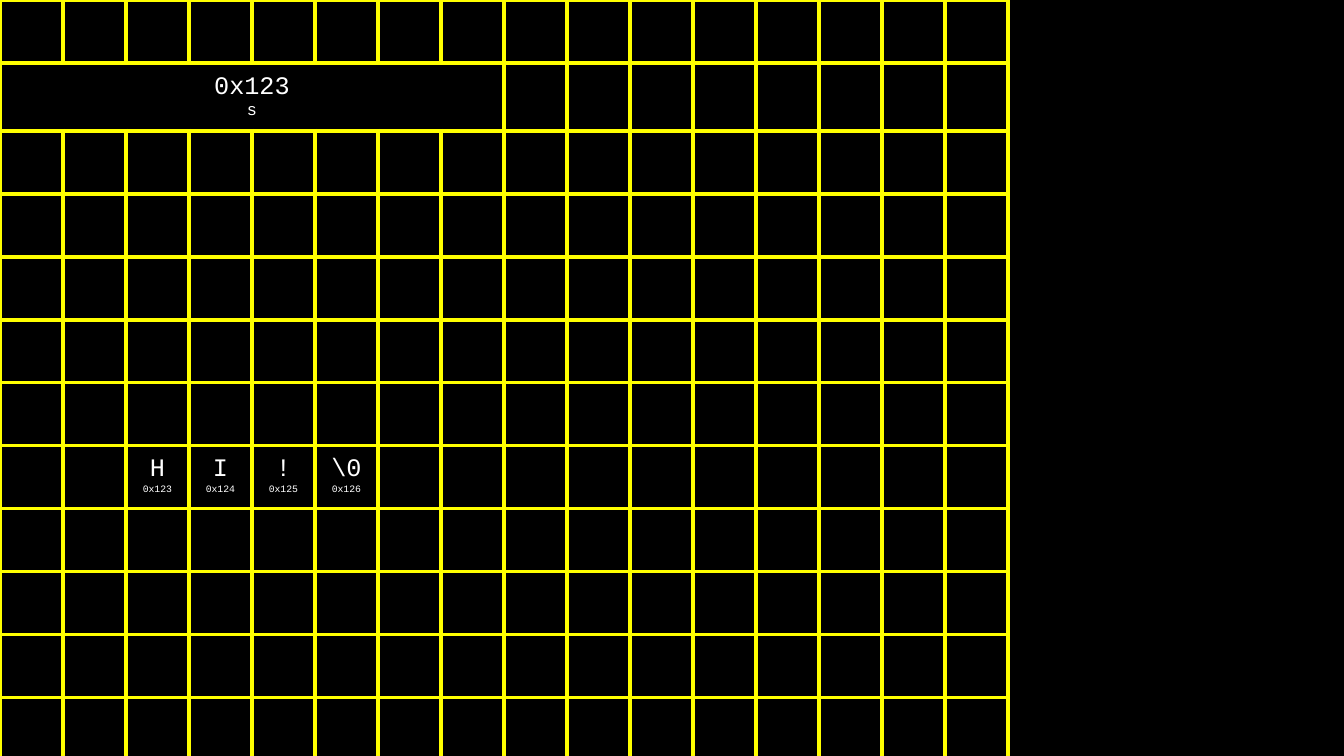
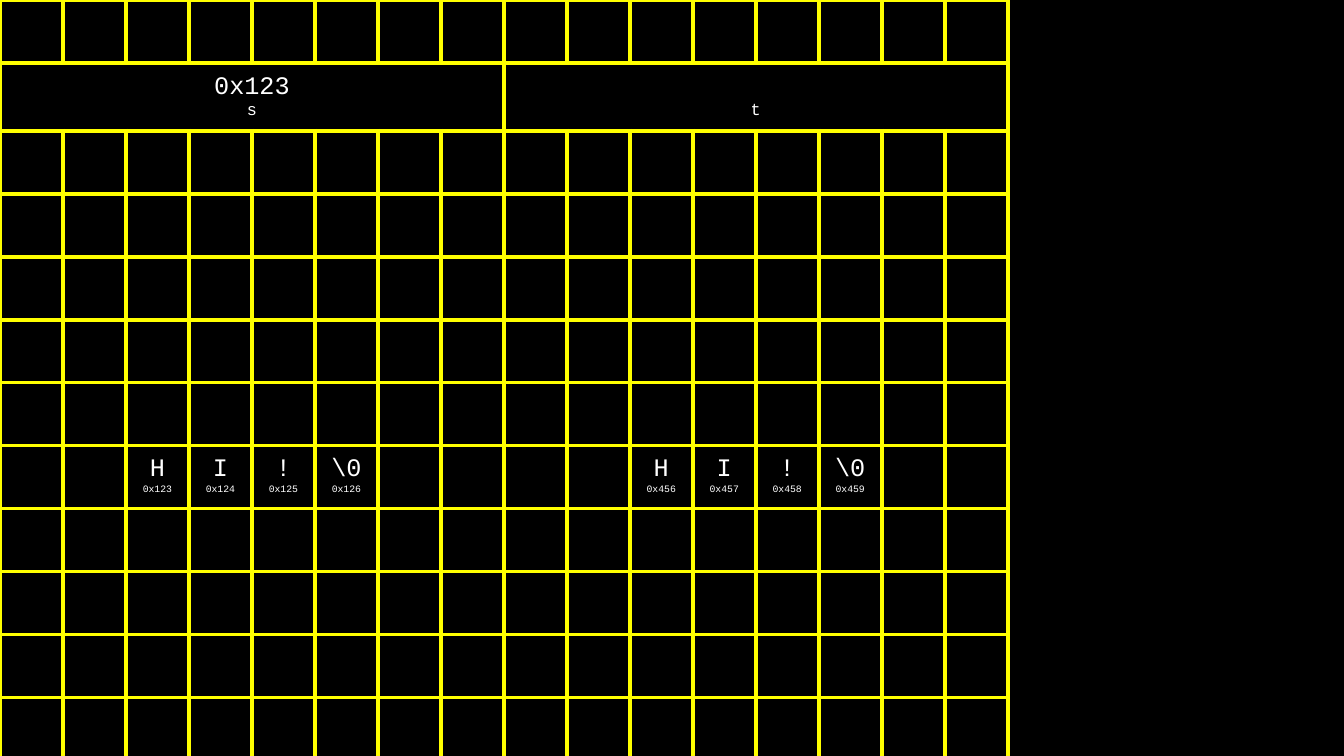
from pptx import Presentation
from pptx.dml.color import RGBColor
from pptx.enum.text import MSO_ANCHOR, PP_ALIGN
from pptx.oxml import parse_xml
from pptx.oxml.ns import nsdecls
from pptx.util import Pt

# Content: each string has a pointer (value, name) and characters in memory
STRING_S = {
    "pointer": ("0x123", "s"),
    "column": 0,
    "bytes": [("H", "0x123"), ("I", "0x124"), ("!", "0x125"), ("\\0", "0x126")],
}
STRING_T = {
    "pointer": ("", "t"),
    "column": 8,
    "bytes": [("H", "0x456"), ("I", "0x457"), ("!", "0x458"), ("\\0", "0x459")],
}
SLIDES = [[STRING_S], [STRING_S, STRING_T]]

# Shared style
COLORS = {"background": "000000", "grid": "FFFF00", "text": "FFFFFF"}
FONT = "Courier New"
COLUMNS, ROWS, CELL = 16, 12, 45
BORDER, MARGIN = 3, 7.2
POINTER_ROW, BYTE_ROW = 1, 7
POINTER_SPAN, BYTE_OFFSET = 8, 2
VALUE_SIZE, NAME_SIZE, ADDRESS_SIZE = 18, 12, 7


def write_lines(cell, *lines, anchor=MSO_ANCHOR.TOP, align=PP_ALIGN.CENTER):
    """Write (text, size) pairs as paragraphs, leaving out empty ones."""
    cell.vertical_anchor = anchor
    tf = cell.text_frame
    for i, (text, size) in enumerate(line for line in lines if line[0]):
        p = tf.add_paragraph() if i else tf.paragraphs[0]
        p.alignment = align
        r = p.add_run()
        r.text = text
        r.font.name = FONT
        r.font.size = Pt(size)
        r.font.color.rgb = RGBColor.from_string(COLORS["text"])


def style_cell(cell):
    cell.margin_left = cell.margin_right = Pt(MARGIN)
    cell.margin_top = cell.margin_bottom = Pt(MARGIN)
    tcPr = cell._tc.get_or_add_tcPr()
    for side in ("lnL", "lnR", "lnT", "lnB"):
        tcPr.append(parse_xml(
            f'<a:{side} {nsdecls("a")} w="{Pt(BORDER)}"><a:solidFill>'
            f'<a:srgbClr val="{COLORS["grid"]}"/></a:solidFill></a:{side}>'))
    cell.fill.background()


def add_memory_grid(s):
    side_x, side_y = Pt(COLUMNS * CELL), Pt(ROWS * CELL)
    table = s.shapes.add_table(ROWS, COLUMNS, 0, 0, side_x, side_y).table
    table.first_row = table.horz_banding = False
    for column in table.columns:
        column.width = Pt(CELL)
    for row in table.rows:
        row.height = Pt(CELL)
    for cell in table.iter_cells():
        style_cell(cell)
    return table


def add_string(table, string):
    # The pointer spans eight bytes; its name sits at the bottom
    first = string["column"]
    value, name = string["pointer"]
    cell = table.cell(POINTER_ROW, first)
    cell.merge(table.cell(POINTER_ROW, first + POINTER_SPAN - 1))
    write_lines(cell, (value, VALUE_SIZE), (name, NAME_SIZE),
                anchor=MSO_ANCHOR.BOTTOM)
    # One cell for each character
    for i, (char, address) in enumerate(string["bytes"], first + BYTE_OFFSET):
        write_lines(table.cell(BYTE_ROW, i),
                    (char, VALUE_SIZE), (address, ADDRESS_SIZE))


def main():
    prs = Presentation()
    prs.slide_width, prs.slide_height = Pt(960), Pt(540)
    for strings in SLIDES:
        s = prs.slides.add_slide(prs.slide_layouts[6])
        fill = s.background.fill
        fill.solid()
        fill.fore_color.rgb = RGBColor.from_string(COLORS["background"])
        table = add_memory_grid(s)
        for string in strings:
            add_string(table, string)
    prs.save("out.pptx")


if __name__ == "__main__":
    main()
